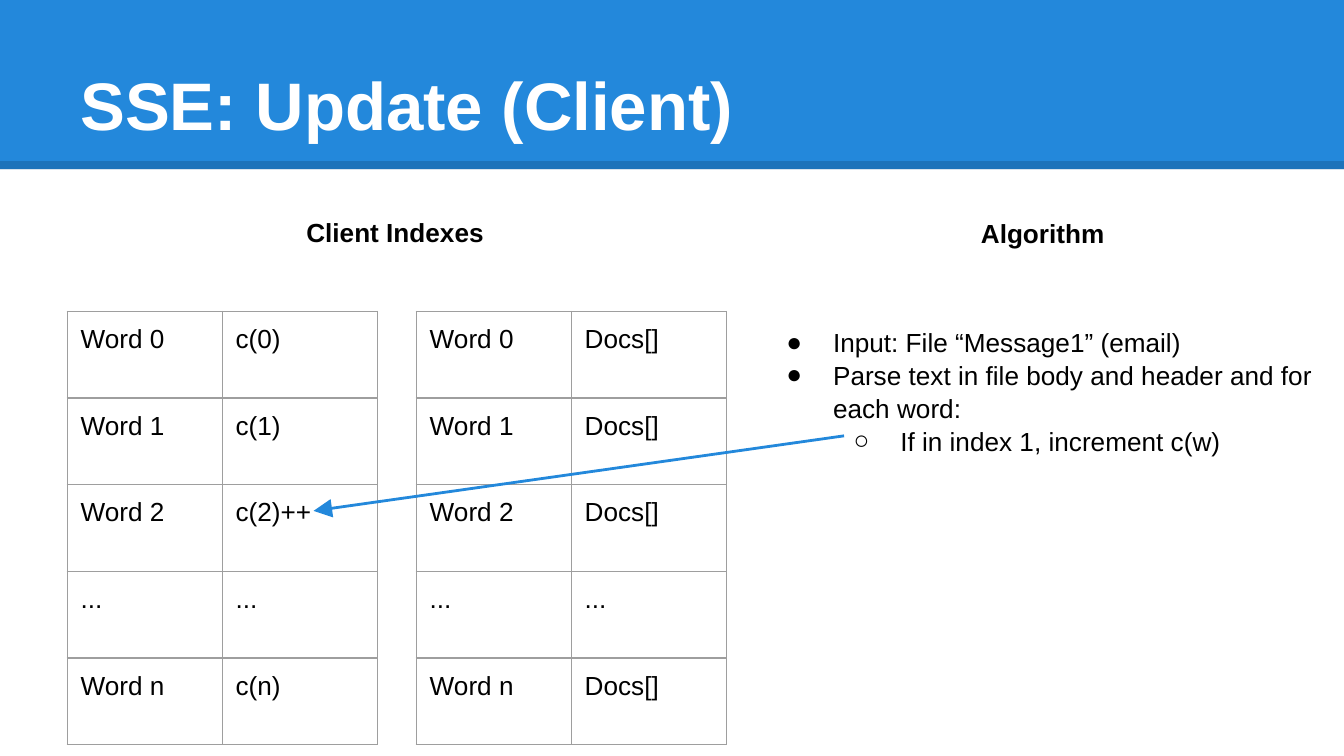
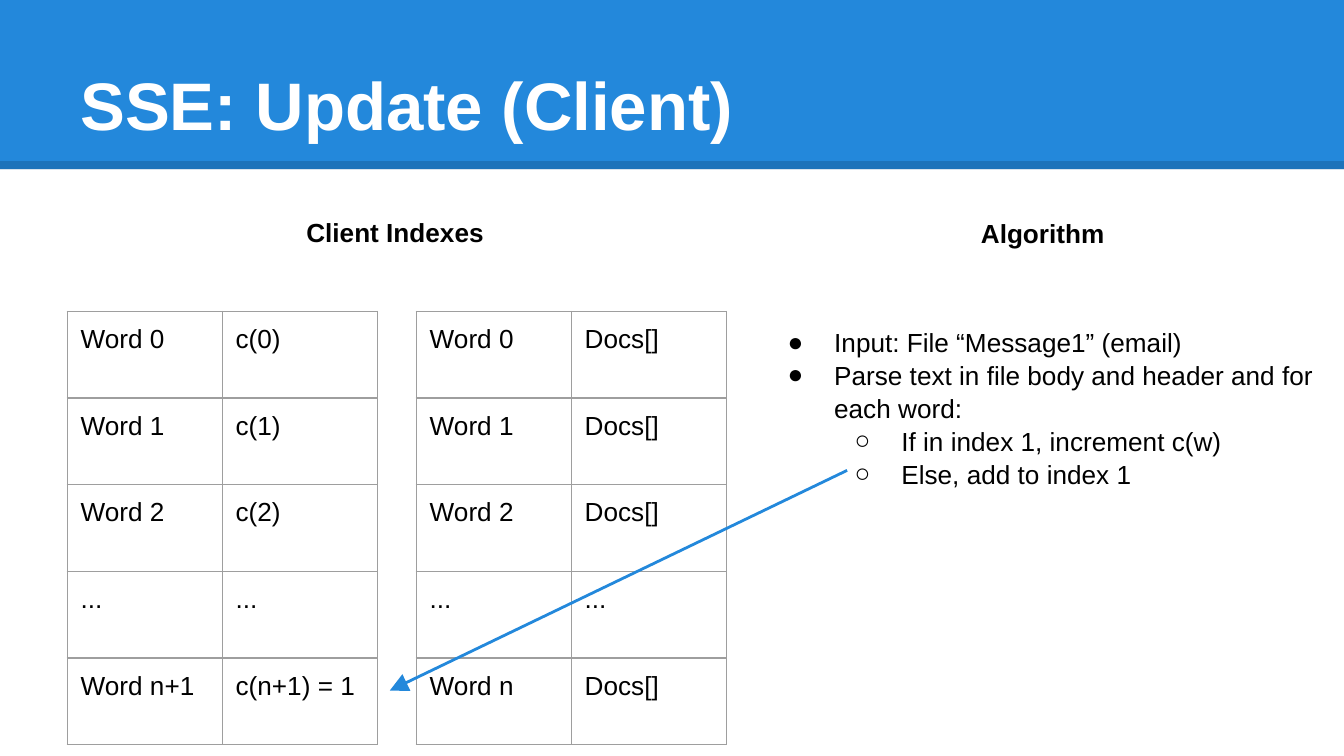
from dataclasses import dataclass
from typing import NamedTuple

from lxml.etree import SubElement
from pptx import Presentation
from pptx.dml.color import RGBColor as Rgb
from pptx.enum.shapes import MSO_CONNECTOR as Connector, MSO_SHAPE as Shape
from pptx.enum.text import MSO_ANCHOR as Anchor
from pptx.oxml import parse_xml
from pptx.oxml.ns import nsdecls, qn
from pptx.util import Pt

COLORS = {
    "blue": "2388DB",
    "white": "FFFFFF",
    "black": "000000",
    "grid": "9E9E9E",
}
FONT = "Arial"
PAGE_WIDTH, PAGE_HEIGHT = 720, 405
BODY_SIZE, TITLE_SIZE = 14, 36
INSET = 7.2
BODY_SPACING = 1.05
TABLE_TOP = 166.8
COLUMN_WIDTH, ROW_HEIGHT = 83.05, 46.45
COUNTER_LEFT, DOCS_LEFT = 36, 223


class Area(NamedTuple):
    left: float
    top: float
    width: float
    height: float


class Point(NamedTuple):
    x: float
    y: float


class Step(NamedTuple):
    text: str
    level: int = 0


@dataclass
class UpdateSlide:
    counters: list[tuple[str, str]]
    steps: list[Step]
    steps_left: float
    arrow_start: Point
    arrow_end: Point


TITLE = "SSE: Update (Client)"
HEADINGS = {
    "Client Indexes": Area(157, 108, 298.8, 41),
    "Algorithm": Area(518.4, 108.3, 85, 34.6),
}
DOCS = [(word, "..." if word == "..." else "Docs[]")
        for word in ("Word 0", "Word 1", "Word 2", "...", "Word n")]
FIRST_COUNTERS = [("Word 0", "c(0)"), ("Word 1", "c(1)")]
STEPS = [
    Step("Input: File “Message1” (email)"),
    Step("Parse text in file body and header and for each word:"),
    Step("If in index 1, increment c(w)", 1),
]
SLIDES = [
    UpdateSlide(
        FIRST_COUNTERS + [("Word 2", "c(2)++"), ("...", "..."), ("Word n", "c(n)")],
        STEPS, 403.2, Point(452.2, 233.5), Point(168, 273.7)),
    UpdateSlide(
        FIRST_COUNTERS + [("Word 2", "c(2)"), ("...", "..."), ("Word n+1", "c(n+1) = 1")],
        STEPS + [Step("Else, add to index 1", 1)],
        403.8, Point(453.8, 252), Point(208.8, 370)),
]


def rgb(color: str) -> Rgb:
    return Rgb.from_string(COLORS[color])


# Text
def add_span(para, text: str, size: float = BODY_SIZE,
             color: str = "black", bold: bool = False) -> None:
    span = para.add_run()
    span.text = text
    span.font.name = FONT
    span.font.size = Pt(size)
    span.font.bold = bold
    span.font.color.rgb = rgb(color)


def add_box(page, area: Area, anchor=Anchor.TOP):
    frame = page.shapes.add_textbox(*map(Pt, area)).text_frame
    frame.word_wrap = True
    frame.vertical_anchor = anchor
    frame.margin_left = frame.margin_right = Pt(INSET)
    frame.margin_top = frame.margin_bottom = Pt(INSET)
    return frame


def add_bullet(para, level: int) -> None:
    para.level = level
    props = para._p.get_or_add_pPr()
    props.set("marL", str(Pt(36 * (level + 1))))
    props.set("indent", str(Pt(-25)))
    bullet_color = SubElement(props, qn("a:buClr"))
    SubElement(bullet_color, qn("a:srgbClr"), val=COLORS["black"])
    SubElement(props, qn("a:buFont"), typeface=FONT)
    SubElement(props, qn("a:buChar"), char="●○"[level])


def add_steps(page, left: float, steps: list[Step]) -> None:
    frame = add_box(page, Area(left, TABLE_TOP, 308.2, 232.6))
    for index, step in enumerate(steps):
        para = frame.add_paragraph() if index else frame.paragraphs[0]
        para.line_spacing = BODY_SPACING
        add_bullet(para, step.level)
        add_span(para, step.text)


# Lines
def add_line(page, start: Point, end: Point, color: str, width: float):
    line = page.shapes.add_connector(Connector.STRAIGHT, *map(Pt, (*start, *end)))
    line.line.color.rgb = rgb(color)
    line.line.width = Pt(width)
    SubElement(line._element.spPr, qn("a:effectLst"))
    return line


def add_arrow(page, start: Point, end: Point) -> None:
    arrow = add_line(page, start, end, "blue", 1.5)
    SubElement(arrow.line._get_or_add_ln(), qn("a:tailEnd"),
               type="triangle", w="lg", len="lg")


# Tables
def set_borders(cell) -> None:
    props = cell._tc.get_or_add_tcPr()
    for index, side in enumerate(("lnL", "lnR", "lnT", "lnB")):
        props.insert(index, parse_xml(
            f'<a:{side} {nsdecls("a")} w="{Pt(0.75)}"><a:solidFill>'
            f'<a:srgbClr val="{COLORS["grid"]}"/></a:solidFill></a:{side}>'))


def add_index(page, left: float, rows: list[tuple[str, str]]) -> None:
    area = Area(left, TABLE_TOP, 2 * COLUMN_WIDTH, len(rows) * ROW_HEIGHT)
    table = page.shapes.add_table(len(rows), 2, *map(Pt, area)).table
    table.first_row = table.horz_banding = False
    for column in table.columns:
        column.width = Pt(COLUMN_WIDTH)
    for row, texts in zip(table.rows, rows):
        row.height = Pt(ROW_HEIGHT)
        for cell, text in zip(row.cells, texts):
            cell.margin_left = cell.margin_right = Pt(INSET)
            cell.margin_top = cell.margin_bottom = Pt(INSET)
            cell.fill.background()
            set_borders(cell)
            add_span(cell.text_frame.paragraphs[0], text)


# Shared header: band, shaded edge, title and headings
def add_header(page) -> None:
    band = page.shapes.add_shape(Shape.RECTANGLE, 0, 0, Pt(PAGE_WIDTH), Pt(90.7))
    band.shadow.inherit = False
    band.fill.solid()
    band.fill.fore_color.rgb = rgb("blue")
    band.line.fill.background()

    edge = add_line(page, Point(0, 88.5), Point(PAGE_WIDTH, 88.5), "black", 4.5)
    shade = edge.line._get_or_add_ln().find(".//" + qn("a:srgbClr"))
    SubElement(shade, qn("a:alpha"), val="15000")

    title = add_box(page, Area(36, 16.5, 648, 67.7), Anchor.BOTTOM)
    add_span(title.paragraphs[0], TITLE, TITLE_SIZE, "white", True)


def add_headings(page) -> None:
    for text, area in HEADINGS.items():
        para = add_box(page, area).paragraphs[0]
        para.line_spacing = BODY_SPACING
        add_span(para, text, bold=True)


def add_update(deck, content: UpdateSlide) -> None:
    page = deck.slides.add_slide(deck.slide_layouts[6])
    page.background.fill.solid()
    page.background.fill.fore_color.rgb = rgb("white")
    add_header(page)
    add_index(page, COUNTER_LEFT, content.counters)
    add_steps(page, content.steps_left, content.steps)
    add_index(page, DOCS_LEFT, DOCS)
    add_headings(page)
    add_arrow(page, content.arrow_start, content.arrow_end)


def main() -> None:
    deck = Presentation()
    deck.slide_width, deck.slide_height = Pt(PAGE_WIDTH), Pt(PAGE_HEIGHT)
    for content in SLIDES:
        add_update(deck, content)
    deck.save("out.pptx")


if __name__ == "__main__":
    main()
